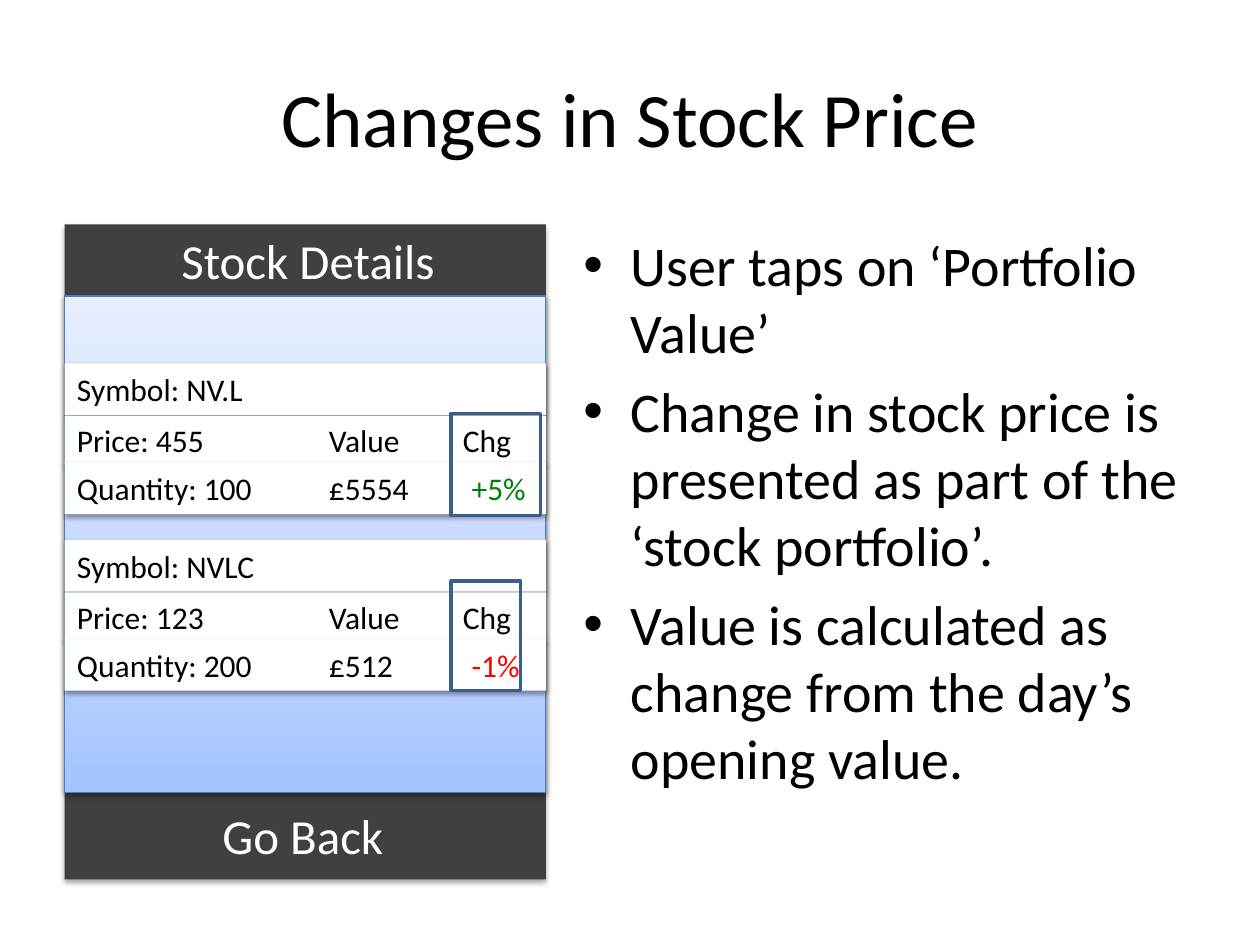
from copy import deepcopy
from dataclasses import dataclass

from lxml import etree
from pptx import Presentation
from pptx.dml.color import RGBColor
from pptx.enum.shapes import MSO_SHAPE
from pptx.enum.text import MSO_ANCHOR, PP_ALIGN
from pptx.oxml.ns import qn
from pptx.util import Pt

RECT = MSO_SHAPE.RECTANGLE
LEFT, MID = PP_ALIGN.LEFT, PP_ALIGN.CENTER
TOP, CENTER = MSO_ANCHOR.TOP, MSO_ANCHOR.MIDDLE


@dataclass(frozen=True)
class Theme:
    font: str = "Calibri"
    ink: str = "000000"
    paper: str = "FFFFFF"
    dark: str = "404040"
    edge: str = "4B7EBC"
    mark: str = "3A5F8C"
    gain: str = "008000"
    loss: str = "FF0000"
    sky: tuple = ((0, "A4C4FF"), (0.35, "BFD4FF"), (1, "E6EEFF"))
    title: int = 44
    body: int = 32
    bar: int = 28
    row: int = 18


class Deck:
    def __init__(self, theme):
        self.theme = theme
        self.file = Presentation()
        self.file.slide_width, self.file.slide_height = Pt(720), Pt(540)
        self.slide = self.file.slides.add_slide(self.file.slide_layouts[1])

    def run(self, para, text, size, color):
        run = para.add_run()
        run.text = text
        run.font.name, run.font.size = self.theme.font, Pt(size)
        run.font.color.rgb = RGBColor.from_string(color)

    def holder(self, index, box, lines, size, align, anchor):
        shape = self.slide.placeholders[index]
        shape.left, shape.top, shape.width, shape.height = map(Pt, box)
        frame = shape.text_frame
        frame.vertical_anchor = anchor
        for i, line in enumerate(lines):
            para = frame.add_paragraph() if i else frame.paragraphs[0]
            para.alignment = align
            self.run(para, line, size, self.theme.ink)

    def rect(self, box, fill=None, line=None, width=0.75, glow=None):
        shape = self.slide.shapes.add_shape(RECT, *map(Pt, box))
        shape.shadow.inherit = False
        if fill:
            shape.fill.solid()
            shape.fill.fore_color.rgb = RGBColor.from_string(fill)
        else:
            shape.fill.background()
        if line:
            shape.line.color.rgb = RGBColor.from_string(line)
            shape.line.width = Pt(width)
        else:
            shape.line.fill.background()
        if glow:
            self.shade(shape, *glow)
        return shape

    def shade(self, shape, alpha, far):
        effects = shape._element.spPr.find(qn("a:effectLst"))
        outer = etree.SubElement(effects, qn("a:outerShdw"), blurRad=str(Pt(3.1)),
                                 dist=str(Pt(far)), dir="5400000", rotWithShape="0")
        color = etree.SubElement(outer, qn("a:srgbClr"), val=self.theme.ink)
        etree.SubElement(color, qn("a:alpha"), val=str(alpha * 1000))

    def blend(self, shape, stops):
        shape.fill.gradient()
        shape.fill.gradient_angle = 90
        first = shape._element.spPr.find(".//" + qn("a:gs"))
        first.addnext(deepcopy(first))
        for stop, (place, color) in zip(shape.fill.gradient_stops, stops):
            stop.position = place
            stop.color.rgb = RGBColor.from_string(color)

    def label(self, box, text):
        shape = self.slide.shapes.add_textbox(*map(Pt, box))
        shape.text_frame.word_wrap = True
        para = shape.text_frame.paragraphs[0]
        para.alignment = MID
        self.run(para, text, self.theme.bar, self.theme.paper)

    def row(self, box, parts, tabs):
        shape = self.rect(box, self.theme.paper, glow=SOFT)
        shape.text_frame.vertical_anchor = CENTER
        para = shape.text_frame.paragraphs[0]
        para.alignment = LEFT
        stops = etree.SubElement(para._p.get_or_add_pPr(), qn("a:tabLst"))
        for tab in tabs:
            etree.SubElement(stops, qn("a:tab"), pos=str(Pt(tab)), algn="l")
        for text, color in parts:
            self.run(para, text, self.theme.row, color)


SOFT = (38, 1.6)
look = Theme()
deck = Deck(look)

# Title and list
deck.holder(0, (36, 21.6, 648, 90), ["Changes in Stock Price"], look.title, MID, CENTER)
deck.holder(1, (326.2, 128.2, 357.1, 356.4), [
    "User taps on ‘Portfolio Value’",
    "Change in stock price is presented as part of the ‘stock portfolio’.",
    "Value is calculated as change from the day’s opening value.",
], look.body, LEFT, TOP)

# Phone body, header and screen
x, wide = 36.9, 275
deck.rect((x, 128.2, wide, 374.4), look.dark, glow=(35, 1.8))
deck.label((x, 128.2, 278, 41), "Stock Details")
screen = deck.rect((x, 169.2, wide, 283.7), line=look.edge, glow=SOFT)
deck.blend(screen, look.sky)

# Stock cards: top, symbol, price, quantity, value, change, colour
stocks = [
    (207.6, "NV.L", "455", "100", "£5554", "+5%", look.gain),
    (308.5, "NVLC", "123", "200", "£512", "-1%", look.loss),
]
for top, name, price, count, value, change, tint in stocks:
    lines = [
        (0, 29.6, [(f"Symbol: {name}", look.ink)], ()),
        (30, 28, [(f"Price: {price}\tValue\tChg", look.ink)], (144, 220.5)),
        (56.6, 29.6, [(f"Quantity: {count}\t{value}\t", look.ink), (change, tint)],
         (144, 225.5)),
    ]
    for drop, high, parts, tabs in lines:
        deck.row((x, top + drop, wide, high), parts, tabs)

# Footer and change markers
deck.label((114, 456.5, 118, 41), "Go Back")
for top, width, high in ((236.2, 51.1, 58.3), (331.9, 39.6, 62.6)):
    deck.rect((257.8, top, width, high), line=look.mark, width=2)

deck.file.save("out.pptx")
